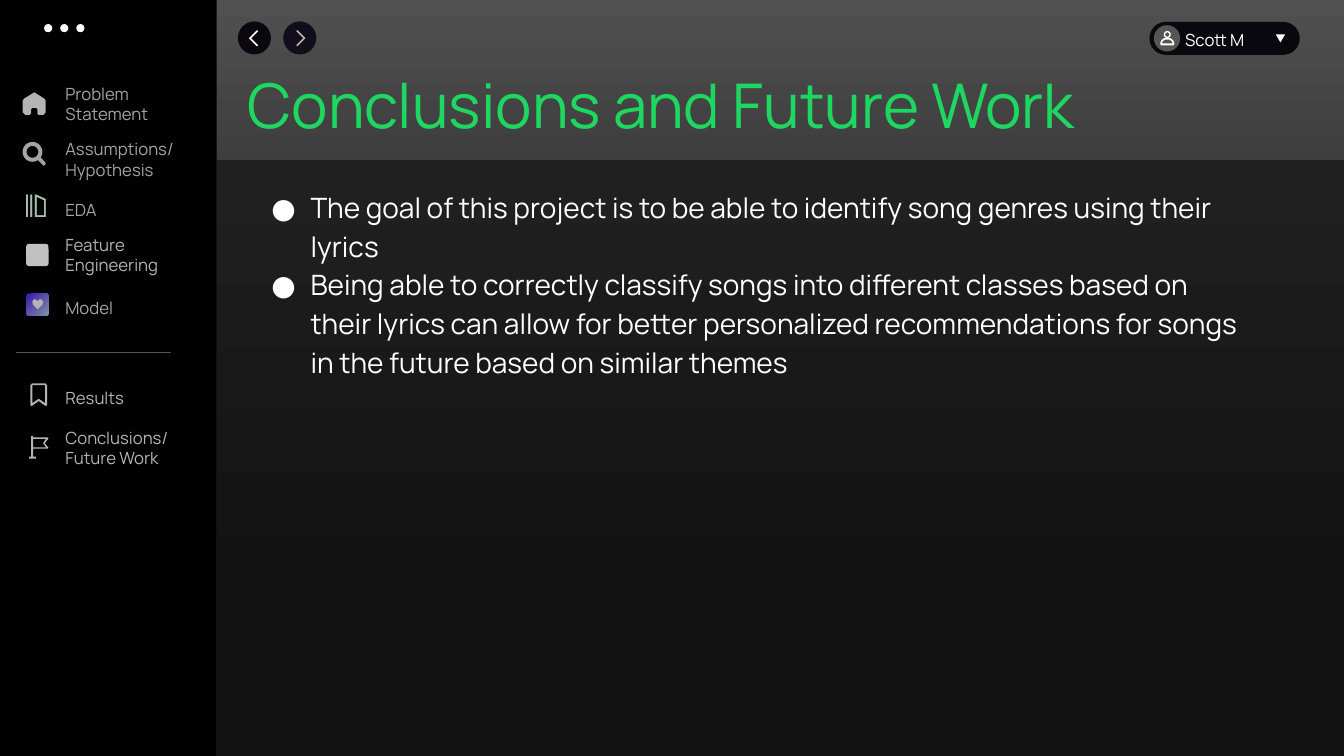
"""Build the dark player-style slide on conclusions and future work."""
from math import cos, pi, sin

from lxml.etree import SubElement
from pptx import Presentation
from pptx.dml.color import RGBColor
from pptx.enum.shapes import MSO_CONNECTOR, MSO_SHAPE
from pptx.enum.text import MSO_ANCHOR, MSO_AUTO_SIZE, PP_ALIGN
from pptx.oxml.ns import qn
from pptx.util import Pt

FONT = "Manrope"
BLACK = RGBColor(0x00, 0x00, 0x00)
WHITE = RGBColor(0xFF, 0xFF, 0xFF)
GREEN = RGBColor(0x1E, 0xD7, 0x60)
SILVER = RGBColor(0xB4, 0xB5, 0xB2)
GREY = RGBColor(0xA5, 0xA5, 0xA5)
LIGHT_GREY = RGBColor(0xC1, 0xC1, 0xC1)
DARK_GREY = RGBColor(0x55, 0x55, 0x54)
PILL = RGBColor(0x0A, 0x08, 0x0F)
BACK_BUTTON = RGBColor(0x0A, 0x07, 0x0E)
NEXT_BUTTON = RGBColor(0x12, 0x0D, 0x1A)
HEADER_TOP = RGBColor(0x50, 0x50, 0x50)
HEADER_BOTTOM = RGBColor(0x2C, 0x2C, 0x2C)
PANEL_TOP = RGBColor(0x20, 0x20, 0x20)
PANEL_BOTTOM = RGBColor(0x12, 0x12, 0x12)
INDIGO = RGBColor(0x42, 0x24, 0xB0)
STEEL = RGBColor(0x7F, 0x93, 0xA0)

MENU = [
    ("Problem Statement", 56.2, GREY),
    ("Assumptions/ Hypothesis", 95.8, GREY),
    ("EDA", 139, GREY),
    ("Feature Engineering", 164.2, SILVER),
    ("Model", 208.8, GREY),
    ("Results", 273.6, SILVER),
    ("Conclusions/\nFuture Work", 301.7, SILVER),
]
GOALS = [
    "The goal of this project is to be able to identify song genres using their lyrics",
    "Being able to correctly classify songs into different classes based on their lyrics "
    "can allow for better personalized recommendations for songs in the future based on "
    "similar themes",
]

HOUSE = [[(24.5, 65.9), (31.8, 70.6), (32.6, 72), (32.6, 80.2), (31, 82.1), (27.5, 82.1),
          (26.6, 81), (26.6, 78), (26, 77.1), (23, 77.1), (22.2, 78), (22.2, 81),
          (21.2, 82.1), (18, 82.1), (16.2, 80.2), (16.2, 72), (17, 70.6)]]
LENS_HANDLE = [(27.2, 113.9), (31.2, 118), (32.4, 116.8), (28.6, 112.5)]
BOOKS = [
    [(18.7, 139), (20, 139), (20, 154.9), (18.7, 154.9)],
    [(21.7, 139), (23, 139), (23, 154.9), (21.7, 154.9)],
    [(25, 139), (25.8, 139), (32.7, 142.2), (32.7, 155), (25, 155)],
    [(26.2, 140.5), (31.5, 143), (31.5, 153.9), (26.2, 153.9)],
]
HEART = [[(26.9, 215.3), (25.6, 213.9), (24, 214), (23.1, 215.6), (23.6, 217.6),
          (26.9, 221), (30.3, 217.6), (30.8, 215.6), (29.9, 214), (28.3, 213.9)]]
BOOKMARK = [
    [(23, 273.8), (32.4, 273.8), (33.6, 275.2), (33.6, 289.6), (32.6, 290), (27.7, 286.5),
     (22.7, 290), (21.7, 289.6), (21.7, 275.2)],
    [(23.1, 275.1), (32.3, 275.1), (32.3, 288), (27.7, 284.9), (23.1, 288)],
]
FLAG = [
    [(22.3, 311.6), (23.6, 311.6), (23.6, 312.4), (34.4, 312.4), (34.6, 313.4),
     (32, 316.6), (34.6, 319.8), (34.2, 320.5), (23.7, 320.5), (23.7, 326.2),
     (25.7, 326.2), (25.7, 327.6), (20.9, 327.6), (20.9, 326.2), (22.3, 326.2)],
    [(23.7, 313.5), (32.9, 313.5), (30.8, 316.5), (32.9, 319.5), (23.7, 319.5)],
]
SHOULDERS = [
    [(831.6, 27.2), (829.6, 28.8), (828.7, 31), (829.2, 32.4), (838.4, 32.4),
     (838.9, 31), (838, 28.8), (836, 27.2)],
    [(832.3, 28.3), (830.6, 29.4), (829.9, 31.1), (837.7, 31.1), (837, 29.4), (835.3, 28.3)],
]


def circle(x, y, radius, steps=24):
    """Return the points of a circle around (x, y)."""
    angles = [2 * pi * step / steps for step in range(steps)]
    return [(x + radius * cos(a), y + radius * sin(a)) for a in angles]


def chevron(tip, side):
    """Return the outline of an arrowhead whose tip points away from side."""
    offsets = [(5.8, 5.8), (0, 0), (5.8, -5.8), (6.6, -5), (1.6, 0), (6.6, 5)]
    return [[(tip + side * dx, 27.3 + dy) for dx, dy in offsets]]


def paint_gradient(fill, first, last, angle, start=0.0, end=1.0):
    """Fill with two colours, the angle counted anticlockwise."""
    fill.gradient()
    fill.gradient_angle = angle
    for stop, color, position in zip(fill.gradient_stops, (first, last), (start, end)):
        stop.color.rgb = color
        stop.position = position


def add_block(slide, preset, left, top, width, height, color=None, corner=None):
    """Add a flat preset shape without an outline."""
    block = slide.shapes.add_shape(preset, Pt(left), Pt(top), Pt(width), Pt(height))
    block.shadow.inherit = False
    block.line.fill.background()
    if color is not None:
        block.fill.solid()
        block.fill.fore_color.rgb = color
    if corner is not None:
        block.adjustments[0] = corner
    return block


def add_icon(slide, contours, color):
    """Add one filled outline made of closed contours; inner ones are holes."""
    builder = None
    for contour in contours:
        start, *rest = [(Pt(x), Pt(y)) for x, y in contour]
        if builder is None:
            builder = slide.shapes.build_freeform(*start, scale=1.0)
        else:
            builder.move_to(*start)
        builder.add_line_segments(rest, close=True)
    icon = builder.convert_to_shape()
    icon.shadow.inherit = False
    icon.fill.solid()
    icon.fill.fore_color.rgb = color
    icon.line.fill.background()
    return icon


def style_text(frame, size, color):
    """Give every run in the frame its font, size and colour."""
    for paragraph in frame.paragraphs:
        for run in paragraph.runs:
            run.font.name = FONT
            run.font.size = Pt(size)
            run.font.color.rgb = color


def add_label(slide, text, left, top, width, color):
    """Add a small wrapped label."""
    label = slide.shapes.add_textbox(Pt(left), Pt(top), Pt(width), Pt(21.6)).text_frame
    label.word_wrap = True
    label.auto_size = MSO_AUTO_SIZE.SHAPE_TO_FIT_TEXT
    label.text = text
    style_text(label, 12, color)


def place(slide, holder, left, top, width, height, text, size, color):
    """Move a placeholder to the front and set its text."""
    slide.shapes.element.append(holder.element)
    holder.left, holder.top, holder.width, holder.height = map(Pt, (left, top, width, height))
    frame = holder.text_frame
    frame.text = text
    frame.word_wrap = True
    frame.auto_size = MSO_AUTO_SIZE.NONE
    frame.vertical_anchor = MSO_ANCHOR.TOP
    style_text(frame, size, color)
    return frame


def add_bullet(paragraph):
    """Give a paragraph a round white bullet with a hanging indent."""
    properties = paragraph._p.get_or_add_pPr()
    properties.set("marL", str(Pt(36)))
    properties.set("indent", str(Pt(-28)))
    SubElement(SubElement(properties, qn("a:buClr")), qn("a:srgbClr"), val=str(WHITE))
    SubElement(properties, qn("a:buFont"), typeface=FONT)
    SubElement(properties, qn("a:buChar"), char="●")
    paragraph.line_spacing = 1.15
    paragraph.space_before = Pt(0)


def add_sidebar(slide):
    """Draw the black menu with its icons and labels."""
    add_block(slide, MSO_SHAPE.RECTANGLE, 0, 0, 154.8, 541.4, BLACK)
    for number in range(3):
        add_block(slide, MSO_SHAPE.OVAL, 31.5 + 11.5 * number, 17.2, 5.8, 5.8, WHITE)
    add_icon(slide, HOUSE, SILVER)
    lens = add_icon(slide, [circle(23.2, 108.5, 6.7), circle(23.2, 108.5, 4.6), LENS_HANDLE], GREY)
    lens.line.color.rgb = GREY
    lens.line.width = Pt(0.75)
    for shade in (GREEN, SILVER):
        add_icon(slide, BOOKS, shade)
    add_block(slide, MSO_SHAPE.ROUNDED_RECTANGLE, 18.7, 174.2, 16, 16, LIGHT_GREY, 0.13)
    model = add_block(slide, MSO_SHAPE.ROUNDED_RECTANGLE, 18.7, 209.5, 16, 16, corner=0.13)
    paint_gradient(model.fill, INDIGO, STEEL, 315, start=0.11)
    for outline in (HEART, BOOKMARK, FLAG):
        add_icon(slide, outline, SILVER)
    for text, top, color in MENU:
        add_label(slide, text, 39.6, top, 95, color)
    divider = slide.shapes.add_connector(
        MSO_CONNECTOR.STRAIGHT, Pt(11.5), Pt(252), Pt(122.4), Pt(252))
    divider.line.color.rgb = DARK_GREY
    divider.line.width = Pt(0.75)
    SubElement(divider.element.spPr, qn("a:effectLst"))


def add_header(slide):
    """Draw the navigation buttons and the user pill."""
    for left, button, tip, side, arrow in (
            (169.9, BACK_BUTTON, 177.8, 1, WHITE), (202.3, NEXT_BUTTON, 218.2, -1, SILVER)):
        add_block(slide, MSO_SHAPE.OVAL, left, 15.3, 23.6, 23.6, button)
        add_icon(slide, chevron(tip, side), arrow)
    add_block(slide, MSO_SHAPE.ROUNDED_RECTANGLE, 821, 15.6, 107.4, 23.6, PILL, 0.5)
    add_label(slide, "Scott M", 839.5, 18, 62.6, WHITE)
    add_block(slide, MSO_SHAPE.OVAL, 824.2, 18, 18.8, 18.8, DARK_GREY)
    add_icon(slide, [circle(833.8, 24.7, 2.5), circle(833.8, 24.7, 1.5), *SHOULDERS], WHITE)
    add_block(slide, MSO_SHAPE.ISOSCELES_TRIANGLE, 912.2, 23.1, 6.6, 5.8, WHITE).rotation = 60


def main():
    """Build and save the slide."""
    deck = Presentation()
    deck.slide_width, deck.slide_height = Pt(960), Pt(540)
    slide = deck.slides.add_slide(deck.slide_layouts[1])
    paint_gradient(slide.background.fill, HEADER_TOP, HEADER_BOTTOM, 270, end=0.4)
    add_sidebar(slide)
    add_header(slide)
    panel = add_block(slide, MSO_SHAPE.RECTANGLE, 154.8, 114.5, 805.2, 426.9)
    paint_gradient(panel.fill, PANEL_TOP, PANEL_BOTTOM, 270, end=0.73)
    title = place(slide, slide.shapes.title, 169.9, 43.9, 709.2, 60.5,
                  "Conclusions and Future Work", 44, GREEN)
    title.paragraphs[0].alignment = PP_ALIGN.LEFT
    goals = place(slide, slide.placeholders[1], 178.6, 125.3, 722.9, 181.4,
                  "\n".join(GOALS), 20, WHITE)
    goals.margin_top = goals.margin_bottom = Pt(7.2)
    for paragraph in goals.paragraphs:
        add_bullet(paragraph)
    deck.save("out.pptx")


if __name__ == "__main__":
    main()
